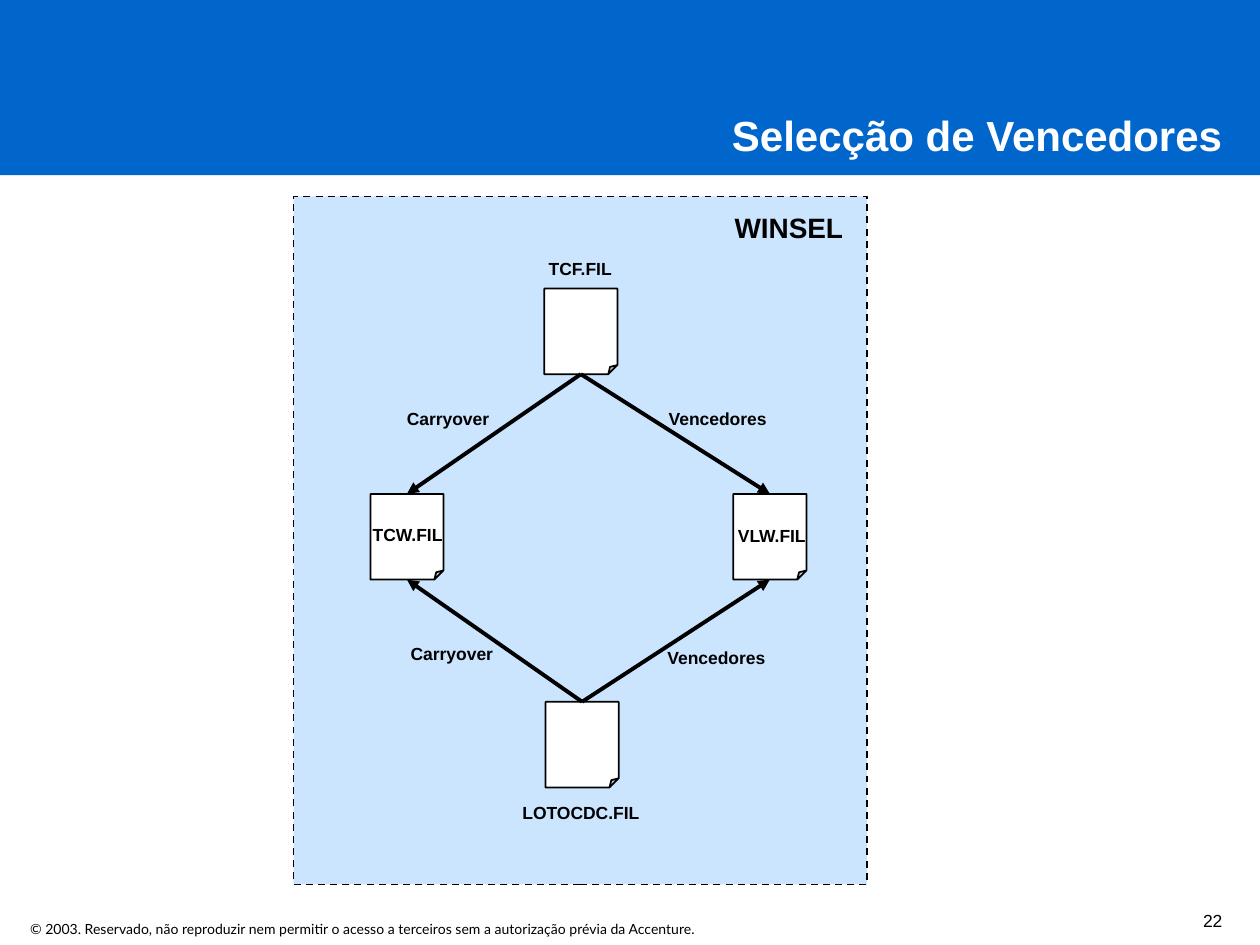
from lxml.etree import SubElement
from pptx import Presentation
from pptx.dml.color import RGBColor
from pptx.enum.dml import MSO_LINE
from pptx.enum.shapes import MSO_CONNECTOR, MSO_SHAPE
from pptx.enum.text import MSO_ANCHOR, PP_ALIGN
from pptx.oxml.ns import qn
from pptx.util import Inches, Pt

BLUE = RGBColor(0x00, 0x66, 0xCC)
PALE_BLUE = RGBColor(0x99, 0xCC, 0xFF)
WHITE = RGBColor(0xFF, 0xFF, 0xFF)
BLACK = RGBColor(0x00, 0x00, 0x00)

TITLE = "Selecção de Vencedores"
COPYRIGHT = ("© 2003. Reservado, não reproduzir nem permitir o acesso a terceiros "
             "sem a autorização prévia da Accenture.")
PAGE = "22"
PROCESS = "WINSEL"

FILE_SIZE = (0.58, 0.68)
LABEL_HEIGHT = 0.24
TOP, BOTTOM = 0, 2

FILES = {
    "TCF.FIL": (4.32, 2.29),
    "LOTOCDC.FIL": (4.33, 5.57),
    "TCW.FIL": (2.94, 3.92),
    "VLW.FIL": (5.82, 3.92),
}
FLOWS = [
    ("TCF.FIL", BOTTOM, "TCW.FIL", TOP),
    ("TCF.FIL", BOTTOM, "VLW.FIL", TOP),
    ("LOTOCDC.FIL", TOP, "VLW.FIL", BOTTOM),
    ("LOTOCDC.FIL", TOP, "TCW.FIL", BOTTOM),
]
LABELS = [
    ("TCF.FIL", 4.15, 2.03, 0.91),
    ("TCW.FIL", 2.78, 4.14, 0.91),
    ("VLW.FIL", 5.67, 4.15, 0.91),
    ("LOTOCDC.FIL", 4.03, 6.35, 1.16),
    ("Vencedores", 5.15, 3.22, 1.09),
    ("Vencedores", 5.14, 5.12, 1.09),
    ("Carryover", 3.01, 3.22, 1.09),
    ("Carryover", 3.04, 5.09, 1.09),
]


def write(box, text, size, align, color=BLACK, bold=True, font="Arial",
          spacing=None, anchor=MSO_ANCHOR.TOP, wrap=True):
    frame = box.text_frame
    frame.word_wrap = wrap
    frame.vertical_anchor = anchor
    paragraph = frame.paragraphs[0]
    paragraph.text = text
    paragraph.alignment = align
    paragraph.line_spacing = spacing
    paragraph.font.name = font
    paragraph.font.size = Pt(size)
    paragraph.font.bold = bold
    paragraph.font.color.rgb = color


def add_text(slide, bounds, *args, **kwargs):
    write(slide.shapes.add_textbox(*map(Inches, bounds)), *args, **kwargs)


def add_block(slide, preset, bounds, fill, outlined=True):
    block = slide.shapes.add_shape(preset, *map(Inches, bounds))
    block.shadow.inherit = False
    block.fill.solid()
    block.fill.fore_color.rgb = fill
    if outlined:
        block.line.color.rgb = BLACK
        block.line.width = Pt(1)
    else:
        block.line.fill.background()
    return block


def add_file(slide, corner):
    document = add_block(slide, MSO_SHAPE.FOLDED_CORNER, (*corner, *FILE_SIZE), WHITE)
    fold = document._element.spPr.prstGeom.get_or_add_avLst()
    SubElement(fold, qn("a:gd"), name="adj", fmla="val 12500")
    return document


def add_flow(slide, source, source_site, target, target_site):
    flow = slide.shapes.add_connector(MSO_CONNECTOR.STRAIGHT, 0, 0, 0, 0)
    flow.begin_connect(source, source_site)
    flow.end_connect(target, target_site)
    flow.line.color.rgb = BLACK
    flow.line.width = Pt(2.25)
    SubElement(flow.line._get_or_add_ln(), qn("a:tailEnd"), type="triangle")
    SubElement(flow._element.spPr, qn("a:effectLst"))


def main():
    deck = Presentation()
    deck.slide_width, deck.slide_height = Inches(10), Inches(7.5)
    slide = deck.slides.add_slide(deck.slide_layouts[5])

    band = add_block(slide, MSO_SHAPE.RECTANGLE, (0, 0, 10, 1.39), BLUE, outlined=False)
    title = slide.shapes.title
    band._element.addnext(title._element)
    title.left, title.top, title.width, title.height = map(Inches, (2.49, 0.82, 7.31, 0.5))
    write(title, TITLE, 24, PP_ALIGN.RIGHT, WHITE)

    process = add_block(slide, MSO_SHAPE.RECTANGLE, (2.33, 1.56, 4.55, 5.46), PALE_BLUE)
    process.line.dash_style = MSO_LINE.DASH
    fill_color = process._element.spPr.find(qn("a:solidFill"))[0]
    SubElement(fill_color, qn("a:alpha"), val="50000")
    add_text(slide, (3.59, 1.67, 3.2, 0.32), PROCESS, 16, PP_ALIGN.RIGHT, spacing=0.8)

    files = {name: add_file(slide, corner) for name, corner in FILES.items()}
    for source, source_site, target, target_site in FLOWS:
        add_flow(slide, files[source], source_site, files[target], target_site)
    for label, left, top, width in LABELS:
        add_text(slide, (left, top, width, LABEL_HEIGHT), label, 10, PP_ALIGN.CENTER,
                 spacing=0.8)

    add_text(slide, (0.14, 7.26, 5.93, 0.24), COPYRIGHT, 8, PP_ALIGN.LEFT,
             bold=False, font="Lato", wrap=False)
    add_text(slide, (7.95, 7.14, 1.85, 0.3), PAGE, 10, PP_ALIGN.RIGHT,
             bold=False, spacing=0.8, anchor=MSO_ANCHOR.BOTTOM)
    deck.save("out.pptx")


if __name__ == "__main__":
    main()
